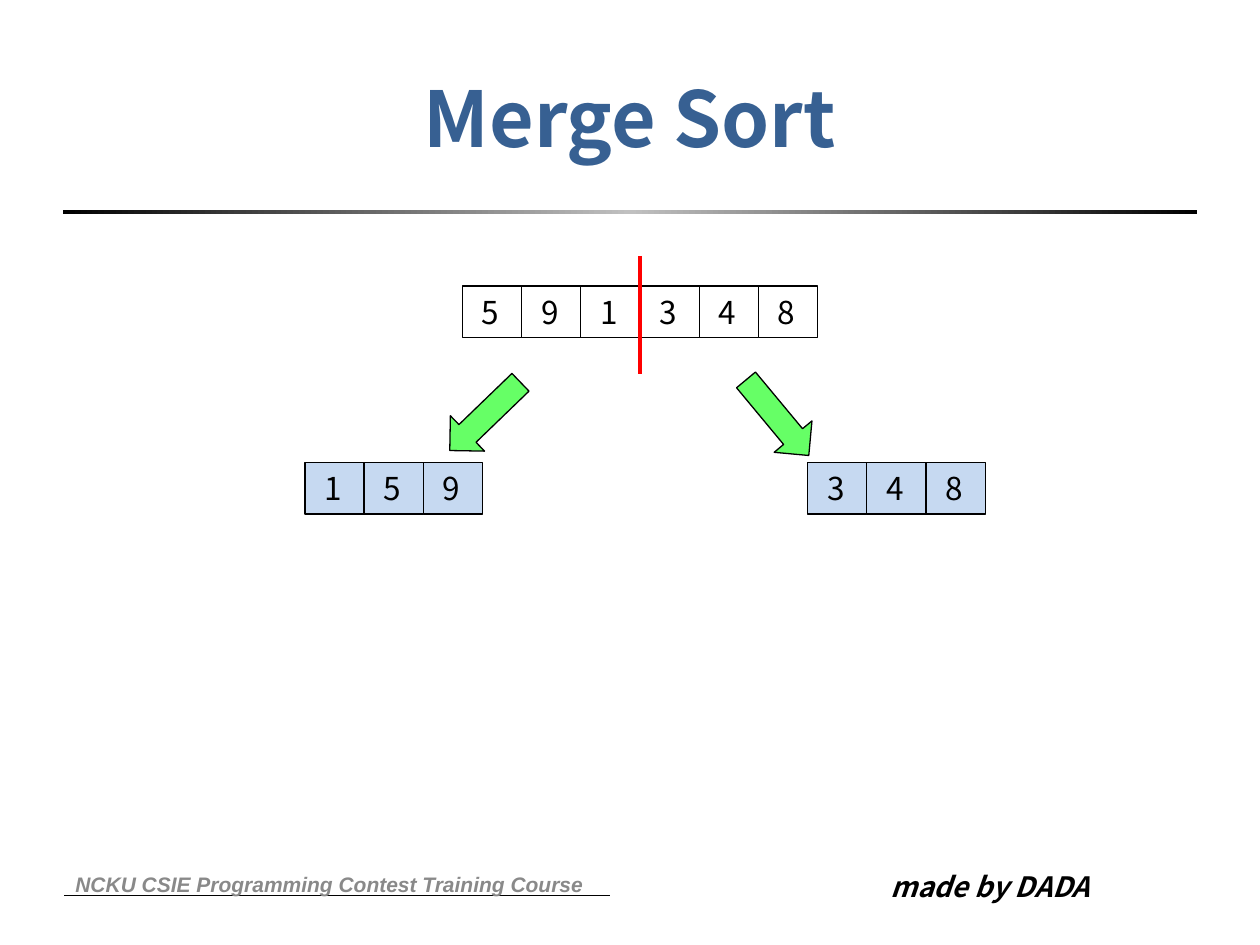
from copy import deepcopy
from dataclasses import dataclass

from lxml.etree import SubElement
from pptx import Presentation
from pptx.dml.color import RGBColor
from pptx.enum.shapes import MSO_CONNECTOR as Connector, MSO_SHAPE as Shape
from pptx.enum.text import MSO_ANCHOR as Anchor, PP_ALIGN as Align
from pptx.oxml.ns import qn
from pptx.util import Inches, Length, Pt

COLORS = {
    "ink": "000000", "title": "376092", "footer": "898989", "silver": "C0C0C0",
    "unsorted": "FFFFFF", "sorted": "C6D9F1", "arrow": "66FF66", "split": "FF0000",
}
CJK_FONT = "Noto Sans CJK SC"
SLIDE_W, SLIDE_H = 10, 7.5
CELL_W, CELL_H = 0.47, 0.41
MARGIN = 0.05 * SLIDE_W
CONTENT_W = SLIDE_W - 2 * MARGIN
SPLIT_X = 5.08


@dataclass
class NumberRow:
    values: list[int]
    left: float
    top: float
    fill: str


@dataclass
class Arrow:
    left: float
    top: float
    angle: float


@dataclass
class Label:
    text: str
    box: tuple[float, float, float, float]
    size: int
    color: str
    font: str = CJK_FONT
    italic: bool = False
    align: Align = Align.LEFT
    anchor: Anchor = Anchor.MIDDLE


def rgb(key: str) -> RGBColor:
    return RGBColor.from_string(COLORS[key])


def inches(*values: float) -> list[Length]:
    return [Inches(value) for value in values]


def add_block(shapes, kind: Shape, box: tuple, fill: str):
    block = shapes.add_shape(kind, *inches(*box))
    block.shadow.inherit = False
    block.fill.solid()
    block.fill.fore_color.rgb = rgb(fill)
    block.line.color.rgb = rgb("ink")
    block.line.width = Pt(0.75)
    return block


def write(frame, text: str, size: int, color: str, font: str,
          align: Align, anchor: Anchor) -> None:
    frame.text = text
    frame.word_wrap = True
    frame.vertical_anchor = anchor
    paragraph = frame.paragraphs[0]
    paragraph.alignment = align
    style = paragraph.runs[0].font
    style.size, style.name, style.color.rgb = Pt(size), font, rgb(color)


def add_label(shapes, label: Label) -> None:
    frame = shapes.add_textbox(*inches(*label.box)).text_frame
    write(frame, label.text, label.size, label.color, label.font,
          label.align, label.anchor)
    style = frame.paragraphs[0].runs[0].font
    style.bold, style.italic = True, label.italic


def add_row(shapes, row: NumberRow):
    group = shapes.add_group_shape()
    for column, value in enumerate(row.values):
        box = (row.left + column * CELL_W, row.top, CELL_W, CELL_H)
        cell = add_block(group.shapes, Shape.RECTANGLE, box, row.fill)
        write(cell.text_frame, f" {value}", 18, "ink", CJK_FONT,
              Align.LEFT, Anchor.MIDDLE)
    return group


def add_line(shapes, start: tuple, end: tuple, color: str, width: float) -> None:
    line = shapes.add_connector(Connector.STRAIGHT, *inches(*start, *end))
    line.line.color.rgb = rgb(color)
    line.line.width = Pt(width)
    SubElement(line._element.spPr, qn("a:effectLst"))


def add_title_rule(shapes) -> None:
    rule = shapes.add_shape(Shape.RECTANGLE, *inches(MARGIN, 1.67, CONTENT_W, 0.03))
    rule.shadow.inherit = False
    rule.line.fill.background()
    rule.fill.gradient()
    rule.fill.gradient_angle = 0
    # A third stop makes the rule fade to silver in the middle
    first = rule.fill._fill._gradFill.gsLst[0]
    first.addnext(deepcopy(first))
    for stop, color, position in zip(rule.fill.gradient_stops,
                                     ("ink", "silver", "ink"), (0, 0.5, 1)):
        stop.color.rgb = rgb(color)
        stop.position = position


LABELS = [
    Label("Merge Sort", (MARGIN, 0.3, CONTENT_W, 1.25), 44, "title",
          align=Align.CENTER),
    Label("NCKU CSIE Programming Contest Training Course",
          (MARGIN, 6.82, 4.26, 0.4), 12, "footer", font="Arial", italic=True),
    Label("made by DADA", (6.97, 6.85, 2.52, 0.37), 16, "ink", italic=True,
          anchor=Anchor.TOP),
]
WHOLE = NumberRow([5, 9, 1, 3, 4, 8], SPLIT_X - 3 * CELL_W, 2.27, "unsorted")
HALVES = [
    NumberRow([1, 5, 9], 2.42, 3.67, "sorted"),
    NumberRow([3, 4, 8], 6.41, 3.67, "sorted"),
]
ARROWS = [Arrow(3.46, 3.11, 136), Arrow(5.78, 3.12, 50.3)]


def main() -> None:
    deck = Presentation()
    deck.slide_width, deck.slide_height = inches(SLIDE_W, SLIDE_H)
    shapes = deck.slides.add_slide(deck.slide_layouts[6]).shapes

    # Title, its rule and the footer
    add_title_rule(shapes)
    add_line(shapes, (0.51, 7.11), (4.84, 7.11), "ink", 0.5)
    for label in LABELS:
        add_label(shapes, label)

    # Sorted halves, then the whole list with its split line
    for half in HALVES:
        add_row(shapes, half)
    whole = add_row(shapes, WHOLE)
    add_line(whole.shapes, (SPLIT_X, 2.03), (SPLIT_X, 2.97), "split", 2.25)

    # Arrows from the whole list to its halves
    for arrow in ARROWS:
        box = (arrow.left, arrow.top, 0.78, 0.39)
        add_block(shapes, Shape.RIGHT_ARROW, box, "arrow").rotation = arrow.angle

    deck.save("out.pptx")


if __name__ == "__main__":
    main()
